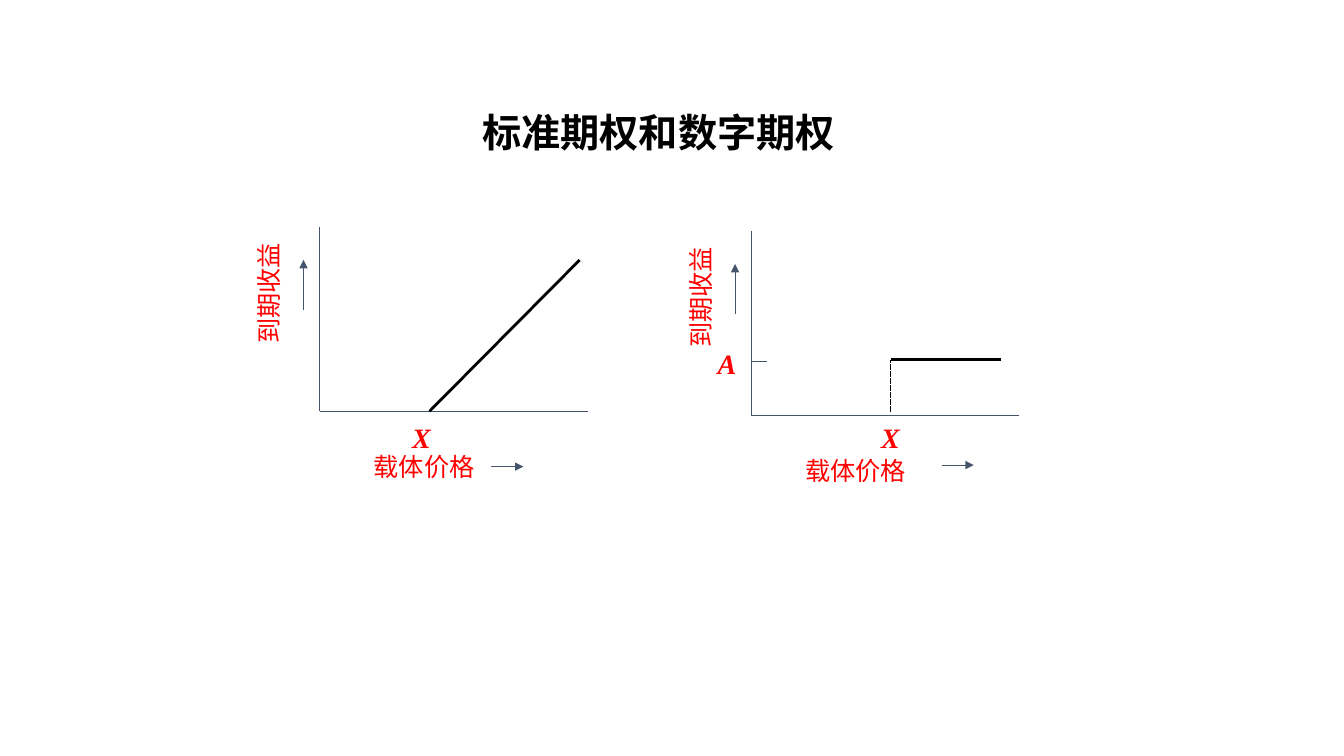
from lxml import etree
from pptx import Presentation
from pptx.dml.color import RGBColor
from pptx.enum.dml import MSO_LINE_DASH_STYLE as Dash
from pptx.enum.shapes import MSO_CONNECTOR_TYPE as Conn
from pptx.enum.text import MSO_ANCHOR as Anchor, MSO_AUTO_SIZE as AutoSize, PP_ALIGN as Align
from pptx.oxml.ns import qn
from pptx.util import Inches, Pt

COLORS = {"axis": "44546A", "payoff": "000000", "label": "FF0000", "title": "000000"}
CJK = "Noto Sans CJK SC"
TITLE = {"name": CJK, "size": Pt(28), "bold": True}
AXIS_LABEL = {"name": CJK, "size": Pt(18)}
SYMBOL = {"name": "Times New Roman", "size": Pt(20), "bold": True, "italic": True}

prs = Presentation()
prs.slide_width, prs.slide_height = Inches(13.33), Inches(7.5)


def slide_box(left, top, width, height):
    """Turn percentages of the slide's size into lengths."""
    W, H = prs.slide_width, prs.slide_height
    return [int(share * side / 100)
            for share, side in zip((left, top, width, height), (W, H, W, H))]


def point(box, u, v):
    """Place a point by its shares of the box's width and height."""
    left, top, width, height = box
    return int(left + u * width), int(top + v * height)


def write(tf, text, style, color):
    p = tf.paragraphs[0]
    p.alignment = Align.CENTER
    r = p.add_run()
    r.text = text
    for name, value in style.items():
        setattr(r.font, name, value)
    r.font.color.rgb = RGBColor.from_string(COLORS[color])
    etree.SubElement(r.font._element, qn("a:ea"), typeface=style["name"])
    return p


def add_line(s, box, start, end, color="axis", width=0.75, dash=None, arrow=False):
    sp = s.shapes.add_connector(Conn.STRAIGHT, *point(box, *start), *point(box, *end))
    sp.line.color.rgb = RGBColor.from_string(COLORS[color])
    sp.line.width = Pt(width)
    if dash:
        sp.line.dash_style = dash
    if arrow:
        etree.SubElement(sp.line._get_or_add_ln(), qn("a:tailEnd"), type="triangle")
    etree.SubElement(sp._element.spPr, qn("a:effectLst"))


def add_label(s, box, center, text, style, rotation=0):
    width, height = (Inches(0.4), Inches(0.44)) if style is SYMBOL else (Inches(1.21), Inches(0.4))
    x, y = point(box, *center)
    sp = s.shapes.add_textbox(x - width // 2, y - height // 2, width, height)
    sp.rotation = rotation
    tf = sp.text_frame
    for name, value in {"word_wrap": False, "auto_size": AutoSize.SHAPE_TO_FIT_TEXT,
                        "vertical_anchor": Anchor.MIDDLE}.items():
        setattr(tf, name, value)
    write(tf, text, style, "label")


def add_title(s, box):
    sp = s.shapes.title
    sp.left, sp.top, sp.width, sp.height = box
    sp.text_frame.vertical_anchor = Anchor.MIDDLE
    write(sp.text_frame, "标准期权和数字期权", TITLE, "title").line_spacing = 0.9


def add_axes(s, box, strike, arrow_start):
    # Axes
    add_line(s, box, (0, 1), (1, 1))
    add_line(s, box, (0, 1), (0, 0))
    # Axis names with their direction arrows
    add_label(s, box, (0.39, 1.3), "载体价格", AXIS_LABEL)
    u, v = arrow_start
    add_line(s, box, (u, v), (u + 0.12, v), arrow=True)
    add_label(s, box, (-0.19, 0.36), "到期收益", AXIS_LABEL, rotation=270)
    add_line(s, box, (-0.06, 0.45), (-0.06, 0.18), arrow=True)
    # Strike price
    add_label(s, box, strike, "X", SYMBOL)


def add_standard_option(s, box):
    add_axes(s, box, strike=(0.38, 1.14), arrow_start=(0.64, 1.3))
    add_line(s, box, (0.41, 1), (0.97, 0.18), "payoff", 2)


def add_digital_option(s, box):
    add_axes(s, box, strike=(0.52, 1.12), arrow_start=(0.71, 1.27))
    # Fixed payoff level
    add_line(s, box, (0, 0.71), (0.06, 0.71))
    add_label(s, box, (-0.09, 0.72), "A", SYMBOL)
    # Jump at the strike price
    add_line(s, box, (0.52, 0.98), (0.52, 0.7), "payoff", 1.25, Dash.SQUARE_DOT)
    add_line(s, box, (0.52, 0.7), (0.93, 0.7), "payoff", 2)


def main():
    s = prs.slides.add_slide(prs.slide_layouts[5])
    add_title(s, slide_box(24, 14.27, 50, 7.2))
    add_standard_option(s, slide_box(23.78, 30, 19.95, 24.4))
    add_digital_option(s, slide_box(55.89, 30.53, 19.95, 24.4))
    prs.save("out.pptx")


if __name__ == "__main__":
    main()
